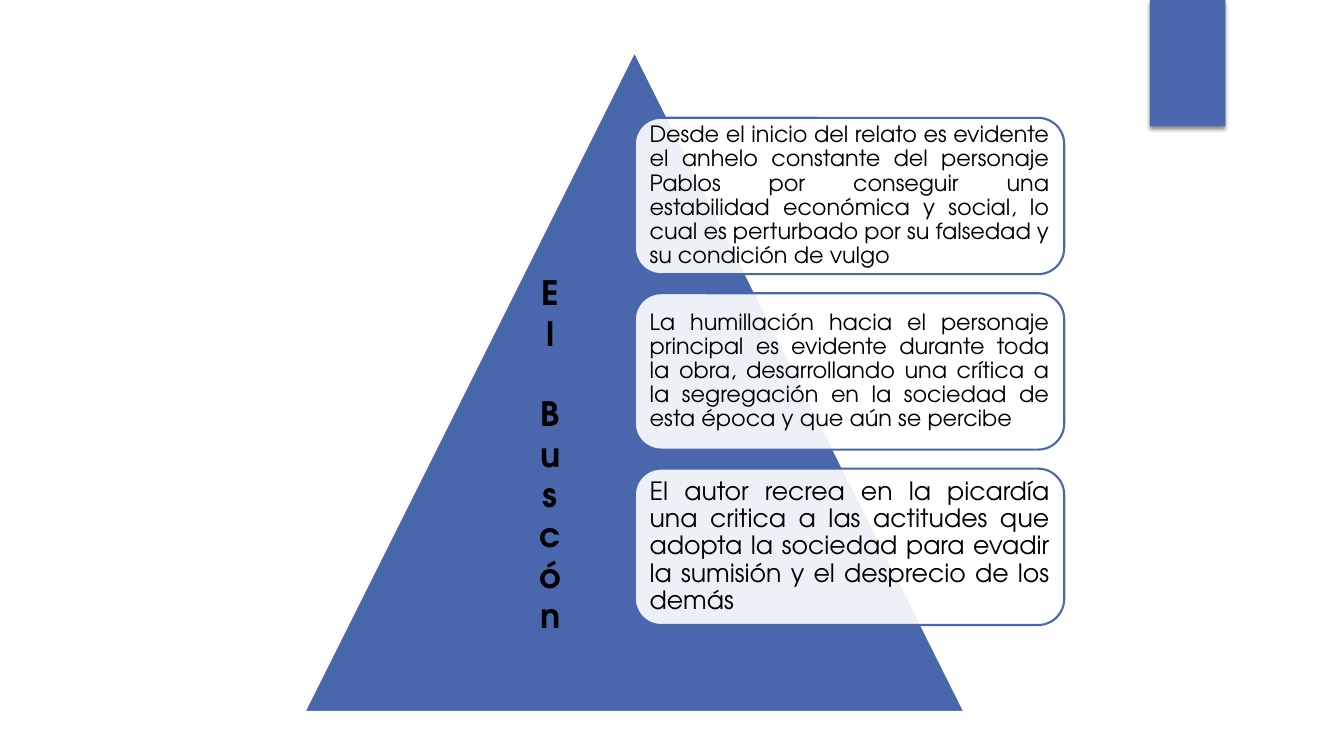
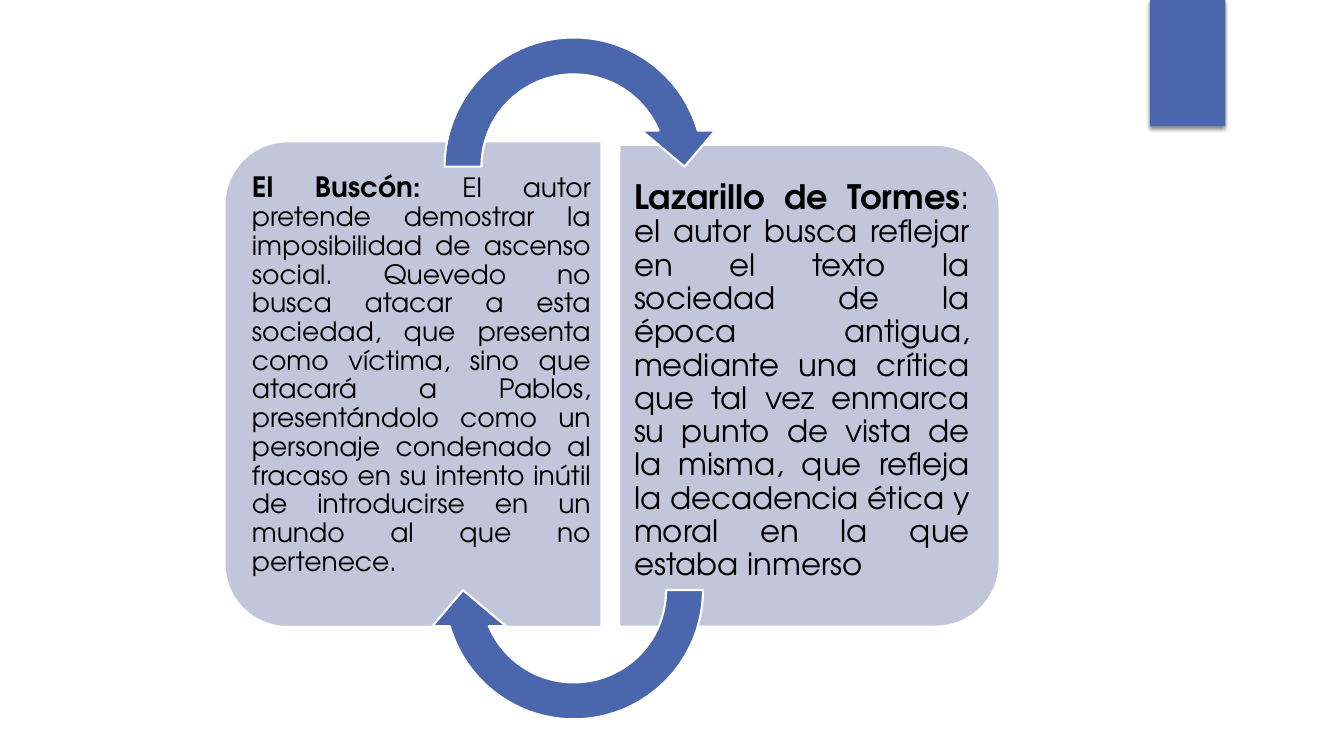
"""Build two slides comparing El Buscón and Lazarillo de Tormes."""
from lxml import etree
from pptx import Presentation
from pptx.dml.color import RGBColor
from pptx.enum.shapes import MSO_SHAPE
from pptx.enum.text import MSO_ANCHOR, PP_ALIGN
from pptx.oxml.ns import qn
from pptx.util import Cm, Pt

RECTANGLE = MSO_SHAPE.RECTANGLE
TRIANGLE = MSO_SHAPE.ISOSCELES_TRIANGLE
CARD = MSO_SHAPE.ROUNDED_RECTANGLE
PANEL = MSO_SHAPE.ROUND_2_SAME_RECTANGLE
ARROW = MSO_SHAPE.CIRCULAR_ARROW
JUSTIFY, CENTER = PP_ALIGN.JUSTIFY, PP_ALIGN.CENTER
TOP, MIDDLE = MSO_ANCHOR.TOP, MSO_ANCHOR.MIDDLE

BLUE = RGBColor(0x4A, 0x66, 0xAC)
PALE = RGBColor(0xC1, 0xC6, 0xDB)
WHITE = RGBColor(0xFF, 0xFF, 0xFF)
BLACK = RGBColor(0x00, 0x00, 0x00)
FONT = "TeX Gyre Adventor"
SIDES = ("margin_left", "margin_top", "margin_right", "margin_bottom")

PYRAMID_TITLE = "El Buscón "
CARDS = [
    ("Desde el inicio del relato es evidente el anhelo constante del personaje "
     "Pablos por conseguir una estabilidad económica y social, lo cual es "
     "perturbado por su falsedad y su condición de vulgo", 16),
    ("La humillación hacia el personaje principal es evidente durante toda la "
     "obra, desarrollando una crítica a la segregación en la sociedad de esta "
     "época y que aún se percibe", 16),
    ("El autor recrea en la picardía una critica a las actitudes que adopta la "
     "sociedad para evadir la sumisión y el desprecio de los demás", 18),
]
CARD_TOP, CARD_PITCH = 2.97, 4.42

PANELS = [
    {"place": (4.29, 4.93, 12.24, 9.5), "turn": 270,
     "text_place": (6.15, 4.01, 9.04, 11.33), "insets": (0.2, 0.36, 0.3, 0.36),
     "runs": [
         ("El Buscón: ", 20, True),
         ("El autor pretende demostrar la imposibilidad de ascenso social. "
          "Quevedo no busca atacar a esta sociedad, que presenta como víctima, "
          "sino que atacará a Pablos, presentándolo como un personaje condenado "
          "al fracaso en su intento inútil de introducirse en un mundo al que "
          "no pertenece.", 19, False)]},
    {"place": (14.33, 4.93, 12.14, 9.58), "turn": 90,
     "text_place": (15.6, 4.11, 9.09, 11.23), "insets": (0.38, 0.43, 0.25, 0.43),
     "runs": [
         ("Lazarillo de Tormes", 24, True),
         (": ", 24, False),
         ("el autor busca reflejar en el texto la sociedad de la época antigua, "
          "mediante una crítica que tal vez enmarca su punto de vista de la "
          "misma, que refleja la decadencia ética y moral en la que estaba "
          "inmerso", 22, False)]},
]
PANEL_CURVE = (0.167, 0)
ARROWS = [(0.48, 0), (11.15, 180)]
ARROW_CURVE = (0.125, 11.42, 204.58, 108, 0.125)


def add_box(page, kind, place, fill, line=WHITE, turn=0, curve=()):
    box = page.shapes.add_shape(kind, *map(Cm, place))
    box.shadow.inherit = False
    box.rotation = turn
    box.fill.solid()
    box.fill.fore_color.rgb = fill
    if line is None:
        box.line.fill.background()
    else:
        box.line.color.rgb = line
        box.line.width = Pt(1.5)
    for index, value in enumerate(curve):
        box.adjustments[index] = value
    return box


def write(box, runs, insets, anchor=TOP, align=JUSTIFY, spacing=0.9):
    frame = box.text_frame
    settings = dict(zip(SIDES, map(Cm, insets)), word_wrap=True, vertical_anchor=anchor)
    for name, value in settings.items():
        setattr(frame, name, value)
    para = frame.paragraphs[0]
    para.alignment = align
    para.line_spacing = spacing
    for text, size, bold in runs:
        span = para.add_run()
        span.text = text
        span.font.color.rgb = BLACK
        for name, value in {"name": FONT, "size": Pt(size), "bold": bold}.items():
            setattr(span.font, name, value)


def set_alpha(color, percent):
    etree.SubElement(color, qn("a:alpha"), val=str(percent * 1000))


def add_master_band(deck, page):
    band = add_box(page, RECTANGLE, (28.98, 0, 1.9, 3.18), BLUE, None)
    effects = band.element.spPr.find(qn("a:effectLst"))
    shadow = etree.SubElement(effects, qn("a:outerShdw"), blurRad=str(Pt(3)),
                              dist=str(Pt(2)), dir="5400000", rotWithShape="0")
    set_alpha(etree.SubElement(shadow, qn("a:srgbClr"), val=str(BLACK)), 45)
    deck.slide_master.shapes.element.append(band.element)


def build_pyramid(page):
    add_box(page, TRIANGLE, (7.67, 1.3, 16.64, 16.64), BLUE)
    for index, (text, size) in enumerate(CARDS):
        place = (16, CARD_TOP + index * CARD_PITCH, 10.82, 3.94)
        card = add_box(page, CARD, place, WHITE, BLUE)
        set_alpha(card.element.spPr.find(qn("a:solidFill"))[0], 90)
        write(card, [(text, size, False)], (0.18,) * 4, MIDDLE)
    title = page.shapes.add_textbox(*map(Cm, (13, 6.25, 1.73, 11.38)))
    write(title, [(PYRAMID_TITLE, 24, True)], (0.25, 0.13, 0.25, 0.13),
          align=CENTER, spacing=1.0)
    title.text_frame._txBody.bodyPr.set("vert", "wordArtVert")


def build_comparison(page):
    for panel in PANELS:
        add_box(page, PANEL, panel["place"], PALE, turn=panel["turn"], curve=PANEL_CURVE)
        label = page.shapes.add_textbox(*map(Cm, panel["text_place"]))
        write(label, panel["runs"], panel["insets"])
    for top, turn in ARROWS:
        add_box(page, ARROW, (10.74, top, 7.44, 7.44), BLUE, turn=turn, curve=ARROW_CURVE)


def main():
    deck = Presentation()
    deck.slide_width, deck.slide_height = Cm(33.87), Cm(19.05)
    blank = deck.slide_layouts[6]
    pages = [deck.slides.add_slide(blank) for _ in range(2)]
    add_master_band(deck, pages[0])
    build_pyramid(pages[0])
    build_comparison(pages[1])
    deck.save("out.pptx")


if __name__ == "__main__":
    main()
